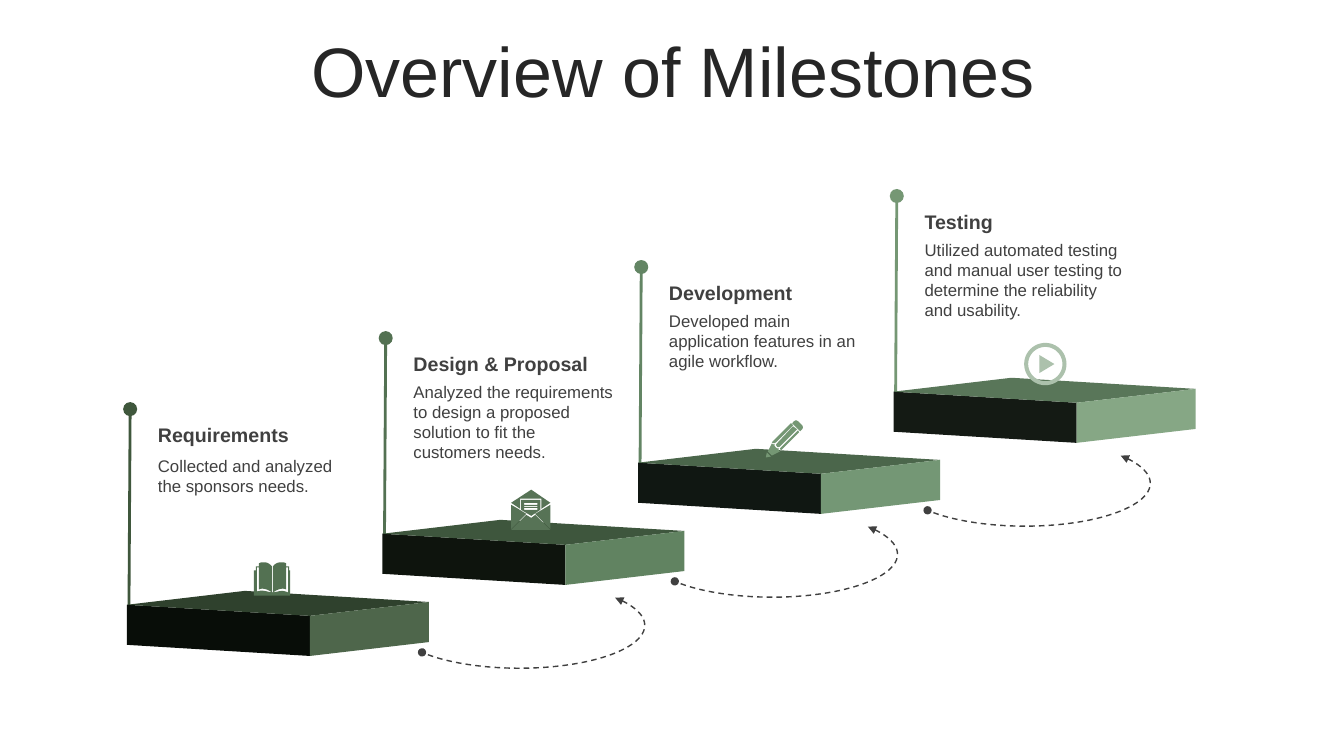
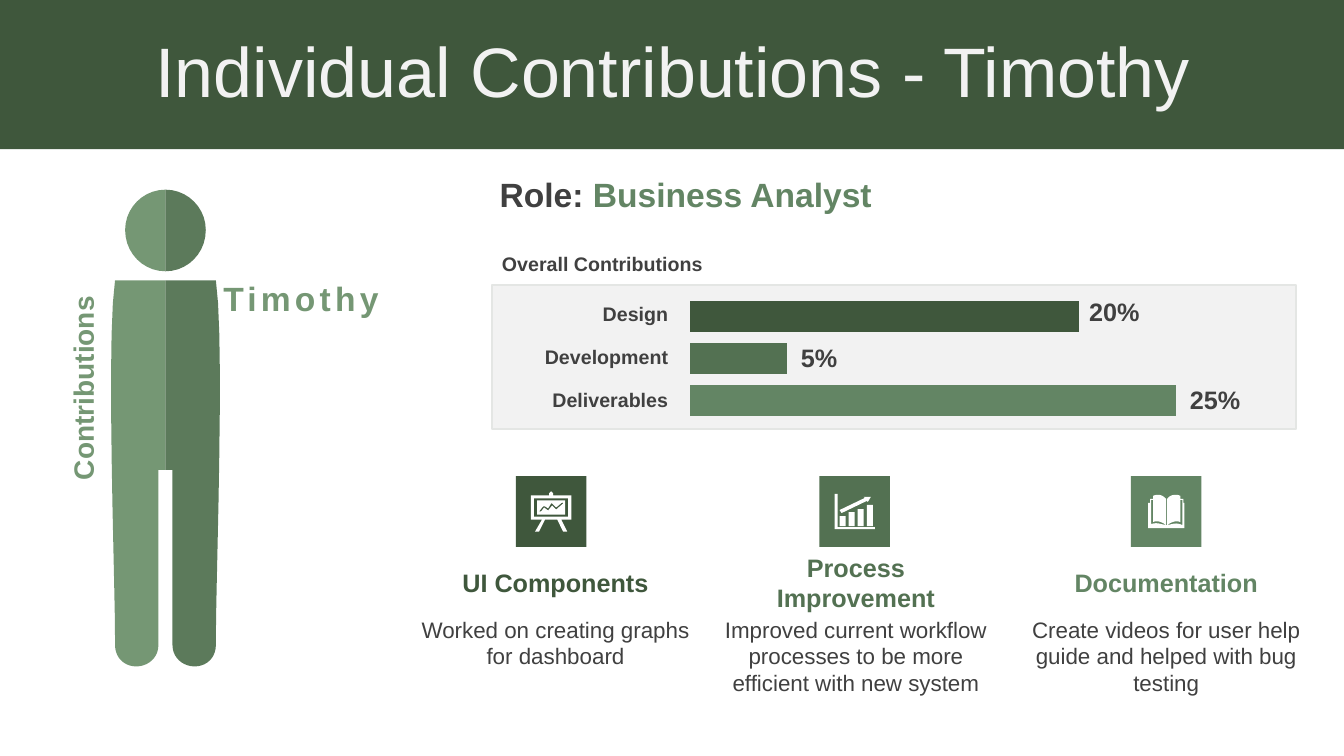
"""Build the milestone staircase and the individual contribution slides."""
from dataclasses import dataclass
from math import cos, pi, sin

from lxml import etree
from pptx import Presentation
from pptx.chart.data import CategoryChartData
from pptx.dml.color import RGBColor
from pptx.enum.chart import XL_CHART_TYPE
from pptx.enum.dml import MSO_LINE
from pptx.enum.shapes import MSO_CONNECTOR, MSO_SHAPE
from pptx.enum.text import MSO_ANCHOR, PP_ALIGN
from pptx.oxml.ns import qn
from pptx.util import Cm, Pt

LEFT, CENTER, RIGHT = PP_ALIGN.LEFT, PP_ALIGN.CENTER, PP_ALIGN.RIGHT
TOP, MIDDLE = MSO_ANCHOR.TOP, MSO_ANCHOR.MIDDLE
RECTANGLE, ARC = MSO_SHAPE.RECTANGLE, MSO_SHAPE.ARC
STRAIGHT, DASH = MSO_CONNECTOR.STRAIGHT, MSO_LINE.DASH
BAR_STACKED = XL_CHART_TYPE.BAR_STACKED

FOREST = RGBColor(0x3F, 0x57, 0x3C)
MOSS = RGBColor(0x53, 0x71, 0x52)
FERN = RGBColor(0x63, 0x85, 0x64)
SAGE = RGBColor(0x75, 0x97, 0x74)
SHADED_SAGE = RGBColor(0x5C, 0x7A, 0x5B)
ENVELOPE_GREEN = RGBColor(0x57, 0x73, 0x56)
MIST = RGBColor(0xAC, 0xC1, 0xAC)
INK = RGBColor(0x26, 0x26, 0x26)
GRAY = RGBColor(0x40, 0x40, 0x40)
PALE = RGBColor(0xF2, 0xF2, 0xF2)
PANEL_EDGE = RGBColor(0xE4, 0xE6, 0xE4)
WHITE = RGBColor(0xFF, 0xFF, 0xFF)

FONT = "Arial"
SLIDE_WIDTH, SLIDE_HEIGHT = 33.87, 19.05
SYMBOL_UNIT = Cm(2.54) / 100
CURVE_STEPS = 10
STEP_X, STEP_Y = 6.44, -1.79
ARC_STEP_X = 6.37
TILE_SIZE = 1.78

Contour = tuple[tuple[float, ...], ...]
Symbol = tuple[Contour, ...]


def box(left: float, top: float, right: float, bottom: float) -> Contour:
    """Return the outline of a rectangle."""
    return (left, top), (right, top), (right, bottom), (left, bottom)


def disc(center: float, radius: float) -> Contour:
    """Return the outline of a circle."""
    angles = [2 * pi * index / 48 for index in range(48)]
    return tuple((center + radius * cos(a), center + radius * sin(a)) for a in angles)


BOOK: Symbol = ((
    (18, 30), (19, 30), (25, 29, 28, 27, 34, 30), (34, 5), (32, 5), (32, 27),
    (28, 25, 23, 27, 19, 30), (19, 4), (21, 1, 24, 0, 27, 0), (29, 0, 30, 0, 32, 1),
    (32, 4), (35, 4), (35, 8), (36, 8), (36, 33), (0, 33), (0, 8), (2, 8), (2, 4),
    (5, 4), (5, 1), (7, 0, 8, 0, 10, 0), (13, 0, 15, 1, 18, 4), (18, 30),
    (14, 27, 9, 25, 5, 27), (5, 5), (3, 5), (3, 29), (9, 27, 12, 29, 18, 30)),)
ENVELOPE: Symbol = (
    ((15, 25), (20, 28), (24, 25), (39, 40), (0, 40)),
    box(13, 18, 26, 20), box(13, 16, 26, 17), box(13, 13, 26, 15),
    ((39, 15), (39, 39), (24, 24)),
    ((0, 15), (7, 19), (15, 24), (0, 39)),
    ((10, 10), (29, 10), (29, 20), (20, 26), (10, 20)),
    ((20, 0), (39, 13), (30, 19), (30, 9), (9, 9), (9, 19), (0, 13)))
PENCIL: Symbol = (
    ((1, 32), (5, 36), (0, 37)),
    ((6, 23), (7, 24, 8, 24, 9, 24), (8, 25, 9, 26, 10, 27), (11, 28, 12, 28, 13, 28),
     (12, 29, 13, 30, 14, 31), (6, 35), (2, 31)),
    ((32, 10), (33, 12), (15, 30), (14, 28), (15, 27)),
    ((27, 6), (31, 9), (14, 26), (13, 27, 11, 27, 11, 26), (10, 25, 10, 24, 11, 23)),
    ((25, 3), (27, 5), (10, 22), (9, 23, 7, 23, 6, 22)),
    ((30, 0), (32, 1), (36, 5), (37, 6, 37, 8, 36, 9), (34, 11), (26, 3), (28, 1)))
PLAY: Symbol = (((15, 12), (30, 21), (15, 30)), disc(21, 17), disc(21, 21))
EASEL: Symbol = (
    ((8, 20), (12, 15), (14, 15), (17, 17), (20, 12), (21, 12), (25, 16), (31, 11),
     (32, 12), (25, 18), (21, 14), (17, 19), (13, 16), (10, 20)),
    box(6, 9, 34, 23), box(3, 7, 37, 25),
    ((20, 0), (22, 2), (22, 4), (40, 4), (40, 28), (30, 28), (36, 40), (32, 40),
     (26, 28), (14, 28), (8, 40), (4, 40), (11, 28), (0, 28), (0, 4), (18, 4), (18, 2)))
GROWTH: Symbol = (
    *(box(5 + 9 * index, top, 11 + 9 * index, 32) for index, top in enumerate((22, 18, 15, 11))),
    ((29, 3), (36, 3), (33, 8), (32, 7), (7, 19), (5, 16), (30, 4)),
    ((0, 0), (3, 0), (3, 33), (40, 33), (40, 35), (0, 35)))
HALF_PERSON: Symbol = (
    ((50, 90), (0, 90), (0, 278), (7, 278), (7, 452), (7, 464, 17, 473, 29, 473),
     (41, 473, 50, 464, 50, 452), (50, 445), (50, 385, 59, 149, 50, 90)),
    ((0, 0), (0, 81), (22, 81, 40, 63, 40, 40), (40, 18, 22, 0, 0, 0)))

FRONT_FACE = ((3.2, 15.24), (7.81, 15.52), (7.81, 16.53), (3.2, 16.25))
TOP_FACE = ((3.2, 15.24), (6.17, 14.89), (10.81, 15.17), (7.81, 15.52))
SIDE_FACE = ((7.81, 15.52), (10.81, 15.17), (10.81, 16.18), (7.81, 16.53))


@dataclass(frozen=True)
class Milestone:
    """One stair of the staircase."""
    heading: str
    body: str
    pole: RGBColor
    front: RGBColor
    top: RGBColor
    side: RGBColor
    symbol: Symbol
    symbol_at: tuple[float, float]
    symbol_color: RGBColor
    body_gap: float = 0.74


@dataclass(frozen=True)
class Share:
    """One row of the contribution chart."""
    label: str
    value: int
    percent: str
    color: RGBColor
    label_top: float
    percent_at: tuple[float, float]


@dataclass(frozen=True)
class Card:
    """One contribution with its tile, heading and description."""
    heading: str
    body: str
    color: RGBColor
    symbol: Symbol
    center: float
    tile_left: float


MILESTONES = (
    Milestone("Requirements", "Collected and analyzed the sponsors needs.", FOREST,
              RGBColor(0x08, 0x0D, 0x08), RGBColor(0x2F, 0x41, 0x2D),
              RGBColor(0x4E, 0x66, 0x4B), BOOK, (6.4, 14.17), MOSS, 0.81),
    Milestone("Design & Proposal",
              "Analyzed the requirements to design a proposed solution to fit the customers needs.",
              MOSS, RGBColor(0x0E, 0x14, 0x0D), RGBColor(0x3E, 0x56, 0x3D),
              RGBColor(0x61, 0x83, 0x61), ENVELOPE, (12.88, 12.34), ENVELOPE_GREEN),
    Milestone("Development", "Developed main application features in an agile workflow.",
              FERN, RGBColor(0x10, 0x17, 0x12), RGBColor(0x4B, 0x66, 0x4B),
              RGBColor(0x74, 0x97, 0x75), PENCIL, (19.3, 10.59), SAGE),
    Milestone("Testing",
              "Utilized automated testing and manual user testing to determine the reliability "
              "and usability.", SAGE, RGBColor(0x14, 0x1A, 0x14), RGBColor(0x59, 0x76, 0x59),
              RGBColor(0x86, 0xA7, 0x85), PLAY, (25.81, 8.64), MIST))
SHARES = (
    Share("Design", 80, "20%", FOREST, 7.47, (27, 7.34)),
    Share("Development", 20, "5%", MOSS, 8.56, (19.56, 8.51)),
    Share("Deliverables", 100, "25%", FERN, 9.63, (29.54, 9.55)))
CARDS = (
    Card("UI Components", "Worked on creating graphs for dashboard", FOREST, EASEL, 14, 13),
    Card("Process Improvement",
         "Improved current workflow processes to be more efficient with new system",
         MOSS, GROWTH, 21.57, 20.65),
    Card("Documentation", "Create videos for user help guide and helped with bug testing",
         FERN, BOOK, 29.39, 28.5))


def add_text(slide, left: float, top: float, width: float, height: float,
             runs: tuple[tuple[str, RGBColor], ...], size: float, bold: bool = False,
             align=LEFT, anchor=TOP, spacing: float = 1):
    """Add a wrapped text box made of coloured runs."""
    shape = slide.shapes.add_textbox(Cm(left), Cm(top), Cm(width), Cm(height))
    frame = shape.text_frame
    frame.word_wrap = True
    frame.vertical_anchor = anchor
    paragraph = frame.paragraphs[0]
    paragraph.alignment = align
    paragraph.line_spacing = spacing
    formats = {"name": FONT, "size": Pt(size), "bold": bold}
    for text, color in runs:
        run = paragraph.add_run()
        run.text = text
        for name, value in formats.items():
            setattr(run.font, name, value)
        run.font.color.rgb = color
    return shape


def add_rectangle(slide, left: float, top: float, width: float, height: float, color: RGBColor):
    """Add a plain filled rectangle."""
    shape = slide.shapes.add_shape(RECTANGLE, Cm(left), Cm(top), Cm(width), Cm(height))
    paint(shape, color)
    return shape


def paint(shape, color: RGBColor) -> None:
    """Fill a shape without outline or shadow."""
    shape.shadow.inherit = False
    shape.fill.solid()
    shape.fill.fore_color.rgb = color
    shape.line.fill.background()


def flatten(contour: Contour) -> list[tuple[float, float]]:
    """Turn a contour of points and cubic curves into points."""
    points = [contour[0]]
    for part in contour[1:]:
        if len(part) == 2:
            points.append(part)
            continue
        anchors = (points[-1], part[:2], part[2:4], part[4:])
        for index in range(1, CURVE_STEPS + 1):
            t = index / CURVE_STEPS
            weights = ((1 - t) ** 3, 3 * t * (1 - t) ** 2, 3 * t * t * (1 - t), t ** 3)
            points.append(tuple(sum(w * a[axis] for w, a in zip(weights, anchors))
                                for axis in (0, 1)))
    return points


def add_outline(slide, symbol: Symbol, left: float, top: float, color: RGBColor,
                unit: float = SYMBOL_UNIT, side: int = 1) -> None:
    """Add a filled freeform, mirrored when side is -1."""
    builder = None
    for contour in symbol:
        points = [(x * unit * side, y * unit) for x, y in flatten(contour)]
        if builder is None:
            builder = slide.shapes.build_freeform(*points[0], scale=1.0)
        else:
            builder.move_to(*points[0])
        builder.add_line_segments(points[1:], close=True)
    paint(builder.convert_to_shape(Cm(left), Cm(top)), color)


def add_line_end(shape, end: str, kind: str, size: str) -> None:
    """Put an arrowhead on one end of a line."""
    line = shape.line._get_or_add_ln()
    etree.SubElement(line, qn(f"a:{end}"), {"type": kind, "w": size, "len": size})


def add_pole(slide, x: float, y: float, color: RGBColor) -> None:
    """Add a pole that ends in a dot."""
    pole = slide.shapes.add_connector(STRAIGHT, Cm(x), Cm(y), Cm(x + 0.03), Cm(y - 4.98))
    pole.line.color.rgb = color
    pole.line.width = Pt(2)
    add_line_end(pole, "tailEnd", "oval", "lg")
    etree.SubElement(pole._element.spPr, qn("a:effectLst"))


def add_arc(slide, left: float, top: float) -> None:
    """Add a dashed arc that leads to the next stair."""
    arc = slide.shapes.add_shape(ARC, Cm(left), Cm(top), Cm(6.32), Cm(2.16))
    arc.adjustments[0], arc.adjustments[1] = 206.33, 98.7
    arc.shadow.inherit = False
    arc.fill.background()
    arc.line.color.rgb = GRAY
    arc.line.width = Pt(1)
    arc.line.dash_style = DASH
    add_line_end(arc, "headEnd", "triangle", "med")
    add_line_end(arc, "tailEnd", "oval", "med")


def add_title(slide, text: str, color: RGBColor) -> None:
    """Add the slide title."""
    add_text(slide, 0.89, 0.94, 32.16, 2.01, ((text, color),), 50,
             align=CENTER, anchor=MIDDLE, spacing=0.8)


def add_milestone(slide, milestone: Milestone, index: int) -> None:
    """Add one stair with its pole, text and symbol."""
    x, y = index * STEP_X, index * STEP_Y
    add_pole(slide, 3.25 + x, 15.29 + y, milestone.pole)
    faces = ((FRONT_FACE, milestone.front), (TOP_FACE, milestone.top),
             (SIDE_FACE, milestone.side))
    for face, color in faces:
        add_outline(slide, (face,), x, y, color, unit=Cm(1))
    add_text(slide, 3.73 + x, 10.54 + y, 5.56, 0.86, ((milestone.heading, GRAY),), 14, True)
    add_text(slide, 3.73 + x, 10.54 + y + milestone.body_gap, 5.56, 2.31,
             ((milestone.body, GRAY),), 12)
    add_outline(slide, milestone.symbol, *milestone.symbol_at, milestone.symbol_color)


def add_share_chart(slide) -> None:
    """Add the bar chart of contributions with its labels."""
    panel = add_rectangle(slide, 12.4, 7.19, 20.27, 3.63, PALE)
    panel.line.color.rgb = PANEL_EDGE
    panel.line.width = Pt(1.25)
    shares = SHARES[::-1]
    data = CategoryChartData()
    data.categories = [str(number) for number in range(1, len(shares) + 1)]
    data.add_series("Series 1", [share.value for share in shares])
    chart = slide.shapes.add_chart(BAR_STACKED, Cm(16.92), Cm(7.04), Cm(15.47), Cm(3.99), data).chart
    chart.has_legend = chart.has_title = False
    chart.font.name, chart.font.size = FONT, Pt(18)
    chart.category_axis.visible = chart.value_axis.visible = False
    chart.value_axis.has_major_gridlines = False
    chart.value_axis.minimum_scale, chart.value_axis.maximum_scale = 0, 120
    plot = chart.plots[0]
    plot.gap_width, plot.overlap, plot.vary_by_categories = 36, 100, False
    for index, share in enumerate(shares):
        fill = plot.series[0].points[index].format.fill
        fill.solid()
        fill.fore_color.rgb = share.color
    area = chart._chartSpace.chart.plotArea
    for layout in area.findall(qn("c:layout")):
        area.remove(layout)
    layout = etree.Element(qn("c:layout"))
    area.insert(0, layout)
    manual = etree.SubElement(layout, qn("c:manualLayout"))
    settings = {"layoutTarget": "inner", "xMode": "edge", "yMode": "edge",
                "x": "0.03", "y": "0.1", "w": "0.95", "h": "0.8"}
    for name, value in settings.items():
        etree.SubElement(manual, qn(f"c:{name}"), {"val": value})
    for share in SHARES:
        add_text(slide, 12.75, share.label_top, 4.34, 0.86, ((share.label, GRAY),), 14, True,
                 RIGHT, MIDDLE)
        add_text(slide, *share.percent_at, 2.16, 1.02, ((share.percent, GRAY),), 18, True, CENTER)


def add_card(slide, card: Card) -> None:
    """Add one contribution card."""
    add_rectangle(slide, card.tile_left, 12, TILE_SIZE, TILE_SIZE, card.color)
    points = [point for contour in card.symbol for point in flatten(contour)]
    left, top = ((TILE_SIZE - max(values) * 2.54 / 100) / 2 for values in zip(*points))
    add_outline(slide, card.symbol, card.tile_left + left, 12 + top, WHITE)
    add_text(slide, card.center - 3.48, 13.77, 6.96, 1.8, ((card.heading, card.color),), 18, True,
             CENTER, MIDDLE)
    add_text(slide, card.center - 3.81, 15.39, 7.62, 3, ((card.body, GRAY),), 16, align=CENTER)


def build_milestones(slide) -> None:
    """Build the staircase slide."""
    add_title(slide, "Overview of Milestones", INK)
    for index, milestone in enumerate(MILESTONES):
        add_milestone(slide, milestone, index)
    for index in range(len(MILESTONES) - 1):
        add_arc(slide, 9.93 + index * ARC_STEP_X, 14.68 + index * STEP_Y)


def build_contributions(slide) -> None:
    """Build the individual contribution slide."""
    add_rectangle(slide, 0, 0, SLIDE_WIDTH, 3.76, FOREST)
    add_title(slide, "Individual Contributions - Timothy", PALE)
    for side, color in ((-1, SAGE), (1, SHADED_SAGE)):
        add_outline(slide, HALF_PERSON, 4.17, 4.78, color, side=side)
    name = add_text(slide, 5.38, 6.88, 5.33, 1.27, (("Timothy", SAGE),), 24, True, anchor=MIDDLE)
    name.text_frame.paragraphs[0].runs[0]._r.get_or_add_rPr().set("spc", "300")
    add_text(slide, -0.58, 9.32, 5.33, 1.12, (("Contributions", SAGE),), 20, True,
             RIGHT, MIDDLE).rotation = 270
    add_text(slide, 12.34, 4.27, 18.69, 1.27, (("Role: ", GRAY), ("Business Analyst", FERN)), 24, True)
    add_text(slide, 12.4, 6.22, 10.62, 0.86, (("Overall Contributions", GRAY),), 14, True)
    add_share_chart(slide)
    for card in CARDS:
        add_card(slide, card)


def main() -> None:
    """Build and save the presentation."""
    presentation = Presentation()
    presentation.slide_width, presentation.slide_height = Cm(SLIDE_WIDTH), Cm(SLIDE_HEIGHT)
    for build in (build_milestones, build_contributions):
        build(presentation.slides.add_slide(presentation.slide_layouts[6]))
    presentation.save("out.pptx")


if __name__ == "__main__":
    main()
